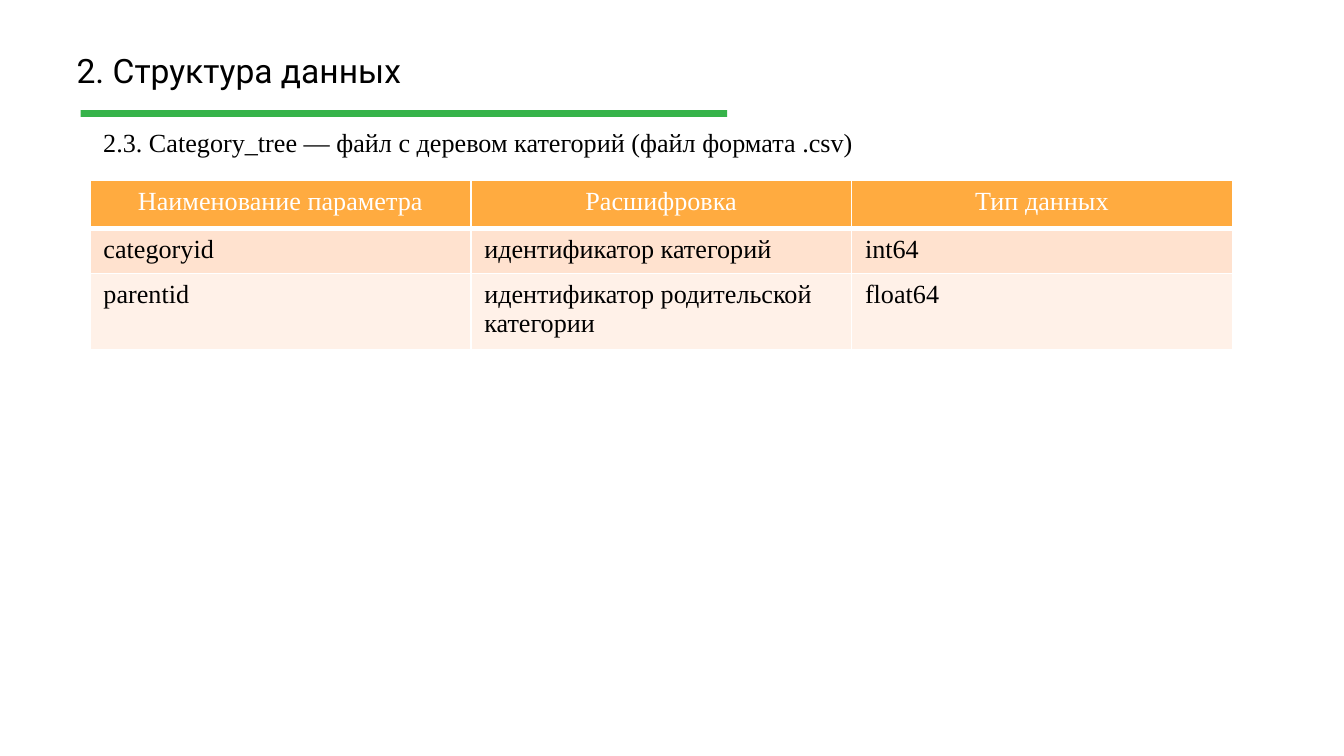
from dataclasses import dataclass

from lxml import etree
from pptx import Presentation
from pptx.dml.color import RGBColor
from pptx.enum import shapes, text
from pptx.oxml import ns
from pptx import util as u


@dataclass(frozen=True)
class Theme:
    green: str = "36B34A"
    orange: str = "FFAB40"
    bands: tuple = ("FFE2CF", "FFF1E8")
    black: str = "000000"
    white: str = "FFFFFF"
    head_font: str = "Roboto"
    body_font: str = "Times New Roman"
    head_size: int = 18
    body_size: int = 14


def add_run(p, content, font, size, color):
    r = p.add_run()
    r.text = content
    r.font.name = font
    r.font.size = u.Pt(size)
    r.font.color.rgb = RGBColor.from_string(color)


def add_border(cell, side, width, color):
    ln = etree.SubElement(cell._tc.get_or_add_tcPr(), ns.qn(f"a:{side}"), w=str(u.Pt(width)))
    fill = etree.SubElement(ln, ns.qn("a:solidFill"))
    etree.SubElement(fill, ns.qn("a:srgbClr"), val=color)


th = Theme()
prs = Presentation()
prs.slide_width = u.Inches(10)
prs.slide_height = prs.slide_width * 9 // 16
s = prs.slides.add_slide(prs.slide_layouts[6])
left = u.Inches(0.67)

bar = s.shapes.add_shape(
    shapes.MSO_SHAPE.RECTANGLE, u.Inches(0.6), u.Inches(0.82), u.Inches(4.81), u.Inches(0.05)
)
bar.shadow.inherit = False
bar.fill.solid()
bar.fill.fore_color.rgb = RGBColor.from_string(th.green)
bar.line.fill.background()

title = s.shapes.add_textbox(u.Inches(0.25), u.Inches(0.39), u.Inches(5.15), u.Inches(0.3))
tf = title.text_frame
tf.word_wrap = True
tf.vertical_anchor = text.MSO_ANCHOR.MIDDLE
tf.margin_left = tf.margin_right = u.Inches(0.07)
tf.margin_top = tf.margin_bottom = u.Inches(0.04)
p = tf.paragraphs[0]
p.line_spacing = 0.9
p.space_before = u.Pt(8)
pPr = p._p.get_or_add_pPr()
pPr.set("marL", str(u.Inches(0.5)))
pPr.set("indent", str(u.Inches(-0.25)))
add_run(p, "2. Структура данных", th.head_font, th.head_size, th.black)

subtitle = s.shapes.add_textbox(left, u.Inches(0.89), u.Inches(8.66), u.Inches(0.34))
tf = subtitle.text_frame
tf.word_wrap = True
tf.auto_size = text.MSO_AUTO_SIZE.SHAPE_TO_FIT_TEXT
add_run(
    tf.paragraphs[0],
    "2.3. Category_tree — файл с деревом категорий (файл формата .csv)",
    th.body_font, th.body_size, th.black,
)

rows = [
    ("Наименование параметра", "Расшифровка", "Тип данных"),
    ("categoryid", "идентификатор категорий", "int64"),
    ("parentid", "идентификатор родительской категории", "float64"),
]
heights = (0.36, 0.33, 0.56)
fills = (th.orange, *th.bands)
table = s.shapes.add_table(
    len(rows), len(rows[0]), left, u.Inches(1.34), u.Inches(8.5), u.Inches(sum(heights))
).table

for i, (row, height, fill) in enumerate(zip(rows, heights, fills)):
    table.rows[i].height = u.Inches(height)
    for j, content in enumerate(row):
        cell = table.cell(i, j)
        for side in ("lnL", "lnR", "lnT", "lnB"):
            header_edge = (i, side) in ((0, "lnB"), (1, "lnT"))
            add_border(cell, side, 3 if header_edge else 1, th.white)
        cell.fill.solid()
        cell.fill.fore_color.rgb = RGBColor.from_string(fill)
        p = cell.text_frame.paragraphs[0]
        p.alignment = text.PP_ALIGN.LEFT if i else text.PP_ALIGN.CENTER
        add_run(p, content, th.body_font, th.body_size, th.black if i else th.white)
        p.runs[0].font.bold = False

prs.save("out.pptx")
